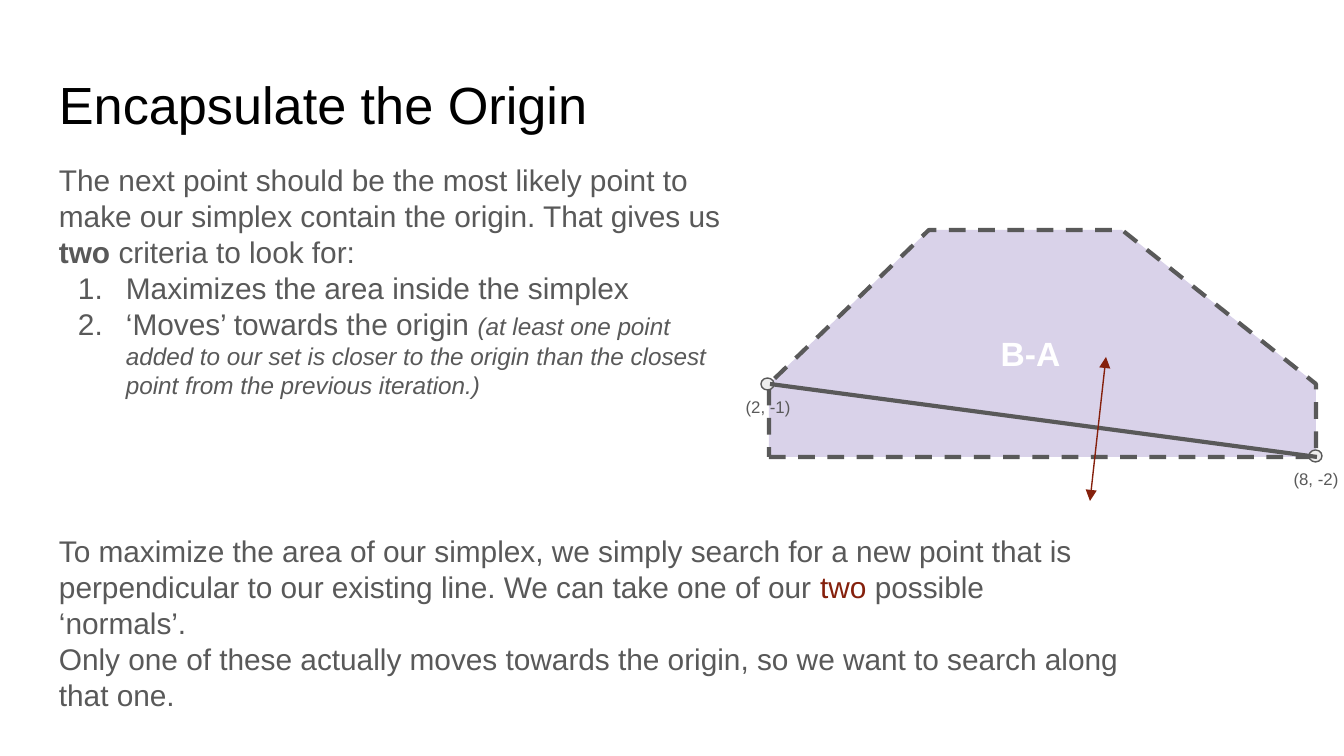
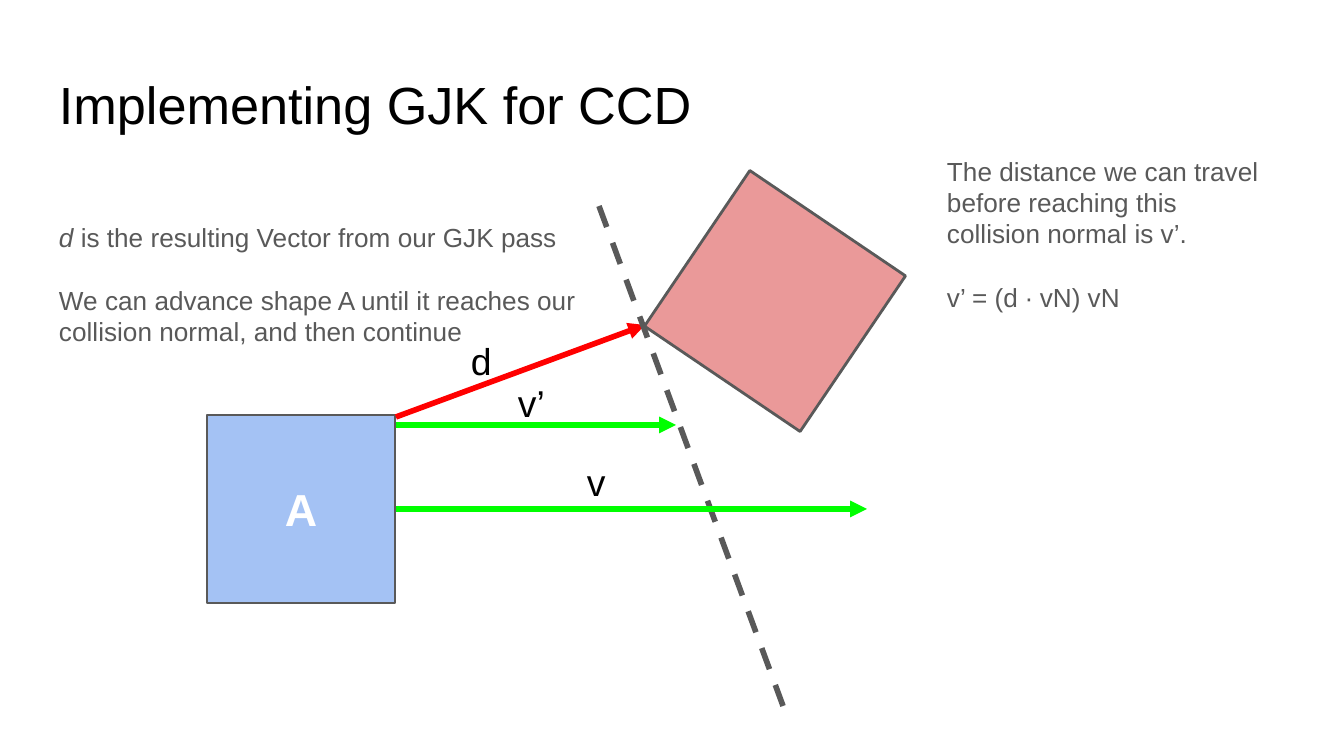
"""Build two slides on the GJK algorithm: choosing the next simplex point, and continuous collision detection."""
from dataclasses import dataclass

from lxml.etree import SubElement
from pptx import Presentation
from pptx.dml.color import RGBColor
from pptx.enum.dml import MSO_LINE
from pptx.enum.shapes import MSO_CONNECTOR, MSO_SHAPE
from pptx.enum.text import MSO_ANCHOR, PP_ALIGN
from pptx.oxml.ns import qn
from pptx.util import Emu, Pt

PX_PER_INCH = 134.4
SCALE = 914400 / PX_PER_INCH


@dataclass(frozen=True)
class Theme:
    font: str = "Arial"
    black: str = "000000"
    white: str = "FFFFFF"
    grey: str = "595959"
    pale: str = "EEEEEE"
    lilac: str = "D9D2E9"
    blue: str = "A4C2F4"
    pink: str = "EA9999"
    maroon: str = "85200C"
    red: str = "FF0000"
    green: str = "00FF00"
    title: int = 28
    shape_name: int = 24
    vector_name: int = 20
    region_name: int = 18
    body: int = 16
    note: int = 14
    aside: int = 13
    coordinate: int = 9
    hairline: float = 0.75
    outline: float = 1.5
    edge: float = 2.25
    vector: float = 3


THEME = Theme()


def px(length):
    return Emu(round(length * SCALE))


def apply(target, values):
    for attribute, value in values.items():
        setattr(target, attribute, value)


def style_line(line, color, width, dashed=False):
    line.color.rgb = RGBColor.from_string(color)
    apply(line, {"width": Pt(width), "dash_style": MSO_LINE.DASH if dashed else None})


def style_shape(shape, fill, width, dashed=False):
    shape.shadow.inherit = False
    shape.fill.solid()
    shape.fill.fore_color.rgb = RGBColor.from_string(fill)
    style_line(shape.line, THEME.grey, width, dashed)


def number_paragraph(paragraph):
    properties = paragraph._p.get_or_add_pPr()
    properties.set("marL", str(px(67)))
    properties.set("indent", str(-px(48)))
    bullet_color = SubElement(properties, qn("a:buClr"))
    SubElement(bullet_color, qn("a:srgbClr"), val=THEME.grey)
    SubElement(properties, qn("a:buFont"), typeface=THEME.font)
    SubElement(properties, qn("a:buAutoNum"), type="arabicPeriod")


def write(shape, paragraphs, size, color, anchor=MSO_ANCHOR.TOP, **layout):
    """Fill a frame with paragraphs, each a list of (text, format) runs."""
    frame = shape.text_frame
    margins = {f"margin_{side}": px(13) for side in ("left", "top", "right", "bottom")}
    apply(frame, {"word_wrap": True, "vertical_anchor": anchor, **margins})
    for index, runs in enumerate(paragraphs):
        paragraph = frame.add_paragraph() if index else frame.paragraphs[0]
        apply(paragraph, {"alignment": PP_ALIGN.LEFT, **layout})
        for text, emphasis in runs:
            run = paragraph.add_run()
            run.text = text
            values = {"name": THEME.font, "size": Pt(size), **emphasis}
            run.font.color.rgb = RGBColor.from_string(values.pop("color", color))
            apply(run.font, values)
    return frame.paragraphs


def add_text(slide, box, paragraphs, size, color=THEME.grey, **layout):
    return write(slide.shapes.add_textbox(*map(px, box)), paragraphs, size, color, **layout)


def add_label(slide, box, text, size, color, bold=False, **layout):
    add_text(slide, box, [[(text, {"bold": bold})]], size, color, **layout)


def add_notes_block(slide, box, paragraphs):
    for paragraph in add_text(slide, box, paragraphs, THEME.note)[1:]:
        paragraph.space_before = Pt(17)


def add_line(slide, start, end, color, width, arrow=False, dashed=False):
    connector = slide.shapes.add_connector(MSO_CONNECTOR.STRAIGHT, *map(px, start + end))
    style_line(connector.line, color, width, dashed)
    if arrow:
        SubElement(connector.line._get_or_add_ln(), qn("a:tailEnd"), type="triangle")
    SubElement(connector._element.spPr, qn("a:effectLst"))


def add_polygon(slide, corners):
    builder = slide.shapes.build_freeform(*corners[0], scale=SCALE)
    builder.add_line_segments(corners[1:], close=True)
    style_shape(builder.convert_to_shape(), THEME.lilac, THEME.edge, dashed=True)


def add_square(slide, left, top, fill, rotation=0):
    square = slide.shapes.add_shape(MSO_SHAPE.RECTANGLE, *map(px, (left, top, 188, 188)))
    style_shape(square, fill, THEME.outline)
    square.rotation = rotation
    return square


def add_vertex(slide, center, coordinates):
    x, y = center
    add_label(slide, (x - 45, y + 6, 90, 34), coordinates, THEME.coordinate, THEME.grey,
              anchor=MSO_ANCHOR.MIDDLE, alignment=PP_ALIGN.CENTER)
    dot = slide.shapes.add_shape(MSO_SHAPE.OVAL, *map(px, (x - 7, y - 6, 13, 12)))
    style_shape(dot, THEME.pale, THEME.hairline)


def add_titled_slide(deck, title):
    slide = deck.slides.add_slide(deck.slide_layouts[6])
    add_label(slide, (46, 66, 1253, 85), title, THEME.title, THEME.black, line_spacing=0.9)
    return slide


def build_origin_slide(deck):
    slide = add_titled_slide(deck, "Encapsulate the Origin")
    add_polygon(slide, [(769, 457), (1316, 457), (1316, 384), (1122, 230), (929, 230), (769, 384)])
    add_label(slide, (958, 320, 145, 67), "B-A", THEME.region_name, THEME.white,
              bold=True, alignment=PP_ALIGN.CENTER)
    criteria = add_text(slide, (46, 149, 692, 372), [
        [("The next point should be the most likely point to make our simplex contain "
          "the origin. That gives us ", {}),
         ("two ", {"bold": True}),
         ("criteria to look for:", {})],
        [("Maximizes the area inside the simplex", {})],
        [("‘Moves’ towards the origin ", {}),
         ("(at least one point added to our set is closer to the origin than the closest "
          "point from the previous iteration.)", {"size": Pt(THEME.aside), "italic": True})],
    ], THEME.body)
    for criterion in criteria[1:]:
        number_paragraph(criterion)
    add_vertex(slide, (1316, 456), "(8, -2)")
    add_vertex(slide, (768, 384), "(2, -1)")
    add_line(slide, (770, 384), (1317, 457), THEME.grey, THEME.edge)
    add_text(slide, (46, 520, 1086, 206), [
        [("To maximize the area of our simplex, we simply search for a new point that is "
          "perpendicular to our existing line. We can take one of our ", {}),
         ("two", {"color": THEME.maroon}),
         (" possible ‘normals’.", {})],
        [("Only one of these actually moves towards the origin, so we want to search "
          "along that one.", {})],
    ], THEME.body)
    x, y = 1098, 429
    for direction in (1, -1):
        add_line(slide, (x, y), (x + 8 * direction, y - 72 * direction),
                 THEME.maroon, THEME.hairline, arrow=True)


def build_collision_slide(deck):
    slide = add_titled_slide(deck, "Implementing GJK for CCD")
    shape_a = add_square(slide, 207, 415, THEME.blue)
    write(shape_a, [[("A", {"bold": True})]], THEME.shape_name, THEME.white,
          anchor=MSO_ANCHOR.MIDDLE, alignment=PP_ALIGN.CENTER)
    add_square(slide, 681, 207, THEME.pink, rotation=304.1)
    add_line(slide, (396, 417), (645, 325), THEME.red, THEME.vector, arrow=True)
    add_line(slide, (599, 206), (786, 714), THEME.grey, THEME.vector, dashed=True)
    for y, tip in ((509, 867), (425, 676)):
        add_line(slide, (396, y), (tip, y), THEME.green, THEME.vector, arrow=True)
    for name, left, top, width in (("d", 458, 325, 47), ("v", 574, 446, 47), ("v’", 505, 367, 56)):
        add_label(slide, (left, top, width, 71), name, THEME.vector_name, THEME.black)
    add_notes_block(slide, (46, 208, 571, 152), [
        [("d", {"italic": True}), (" is the resulting Vector from our GJK pass", {})],
        [("We can advance shape A until it reaches our collision normal, and then continue", {})],
    ])
    add_notes_block(slide, (934, 142, 355, 184), [
        [("The distance we can travel before reaching this collision normal is v’.", {})],
        [("v’ = (d ∙ vN) vN", {})],
    ])


def main():
    deck = Presentation()
    apply(deck, {"slide_width": px(1344), "slide_height": px(756)})
    build_origin_slide(deck)
    build_collision_slide(deck)
    deck.save("out.pptx")


if __name__ == "__main__":
    main()
